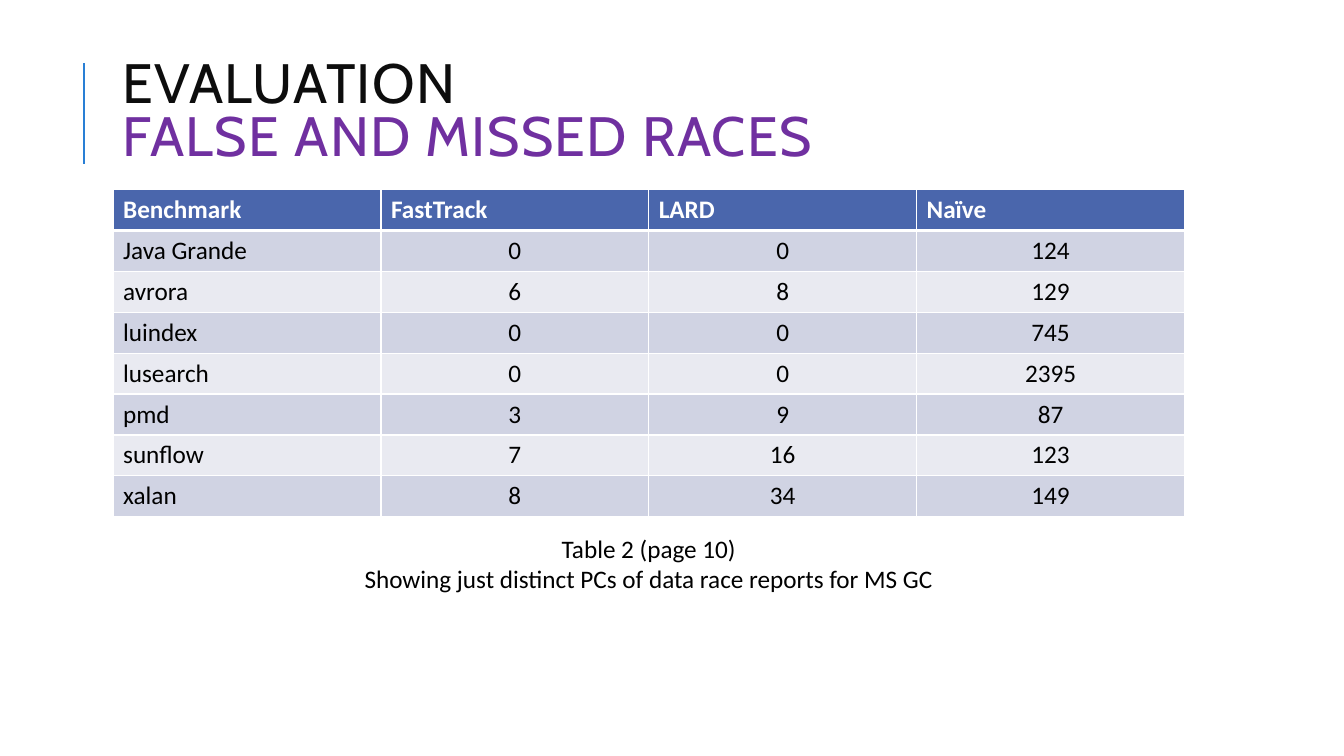
import pptx
import pptx.dml.color
import pptx.enum.shapes
import pptx.enum.text
import pptx.oxml.ns
import pptx.util
from lxml import etree

Cm = pptx.util.Cm
Pt = pptx.util.Pt
qn = pptx.oxml.ns.qn
ALIGN = pptx.enum.text.PP_ALIGN

HUES = {
    "ink": "0D0D0D",
    "black": "000000",
    "white": "FFFFFF",
    "purple": "7030A0",
    "rule": "297FD5",
    "head": "4A66AC",
    "dark": "D0D3E3",
    "light": "E9EAF1",
}
LEFT, WIDTH = Cm(2.85), Cm(27)
ROWS = [
    ("Benchmark", "FastTrack", "LARD", "Naïve"),
    ("Java Grande", 0, 0, 124),
    ("avrora", 6, 8, 129),
    ("luindex", 0, 0, 745),
    ("lusearch", 0, 0, 2395),
    ("pmd", 3, 9, 87),
    ("sunflow", 7, 16, 123),
    ("xalan", 8, 34, 149),
]


def hue(name):
    return pptx.dml.color.RGBColor.from_string(HUES[name])


def style(font, face, size, tint, bold=False):
    font.name, font.size, font.bold = face, Pt(size), bold
    font.color.rgb = hue(tint)


def add_rule(slide, x, top, end):
    line = slide.shapes.add_connector(
        pptx.enum.shapes.MSO_CONNECTOR.STRAIGHT, x, end, x, top)
    line.line.color.rgb = hue("rule")
    line.line.width = Pt(1.5)
    etree.SubElement(line._element.spPr, qn("a:effectLst"))


def add_box(slide, top, height):
    frame = slide.shapes.add_textbox(LEFT, top, WIDTH, height).text_frame
    frame.word_wrap = True
    return frame


def add_title(slide, top, height, parts):
    frame = add_box(slide, top, height)
    frame.vertical_anchor = pptx.enum.text.MSO_ANCHOR.MIDDLE
    para = frame.paragraphs[0]
    para.line_spacing = 0.8
    for i, (text, tint) in enumerate(parts):
        if i:
            para.add_line_break()
        run = para.add_run()
        run.text = text
        style(run.font, "Cabin", 39.6, tint)
        run._r.get_or_add_rPr().set("spc", "100")


def add_notes(slide, top, height, lines):
    frame = add_box(slide, top, height)
    frame.text = "\n".join(lines)
    for para in frame.paragraphs:
        para.alignment = ALIGN.CENTER
        style(para.font, "Calibri", 18, "black")


def add_edge(cell, side, width):
    edge = etree.SubElement(
        cell._tc.get_or_add_tcPr(), qn("a:" + side), w=str(Pt(width)))
    fill = etree.SubElement(edge, qn("a:solidFill"))
    etree.SubElement(fill, qn("a:srgbClr"), val=HUES["white"])


def fill_cell(cell, value, row, col):
    head = row == 0
    # Borders come before the fill; the edge under the header is thick
    thick = {0: "lnB", 1: "lnT"}.get(row)
    for side in ("lnL", "lnR", "lnT", "lnB"):
        add_edge(cell, side, 3 if side == thick else 1)
    cell.fill.solid()
    cell.fill.fore_color.rgb = hue(
        "head" if head else "dark" if row % 2 else "light")
    cell.text = str(value)
    para = cell.text_frame.paragraphs[0]
    para.alignment = ALIGN.LEFT if head or col == 0 else ALIGN.CENTER
    style(para.font, "Calibri", 18, "white" if head else "black", head)


def add_grid(slide, top, step, rows):
    table = slide.shapes.add_table(
        len(rows), len(rows[0]), LEFT, top, WIDTH, step * len(rows)).table
    for r, row in enumerate(rows):
        table.rows[r].height = step
        for c, value in enumerate(row):
            fill_cell(table.cell(r, c), value, r, c)


def main():
    deck = pptx.Presentation()
    deck.slide_width, deck.slide_height = Cm(33.87), Cm(19.05)
    slide = deck.slides.add_slide(deck.slide_layouts[6])

    # Title with its side rule
    add_rule(slide, Cm(2.12), Cm(1.58), Cm(4.13))
    add_title(slide, Cm(1.63), Cm(2.5), [
        ("EVALUATION", "ink"), ("FALSE AND MISSED RACES", "purple")])

    # Race counts and caption
    add_grid(slide, Cm(4.78), Cm(1.03), ROWS)
    add_notes(slide, Cm(13.32), Cm(1.8), [
        "Table 2 (page 10)",
        "Showing just distinct PCs of data race reports for MS GC"])

    deck.save("out.pptx")


if __name__ == "__main__":
    main()
